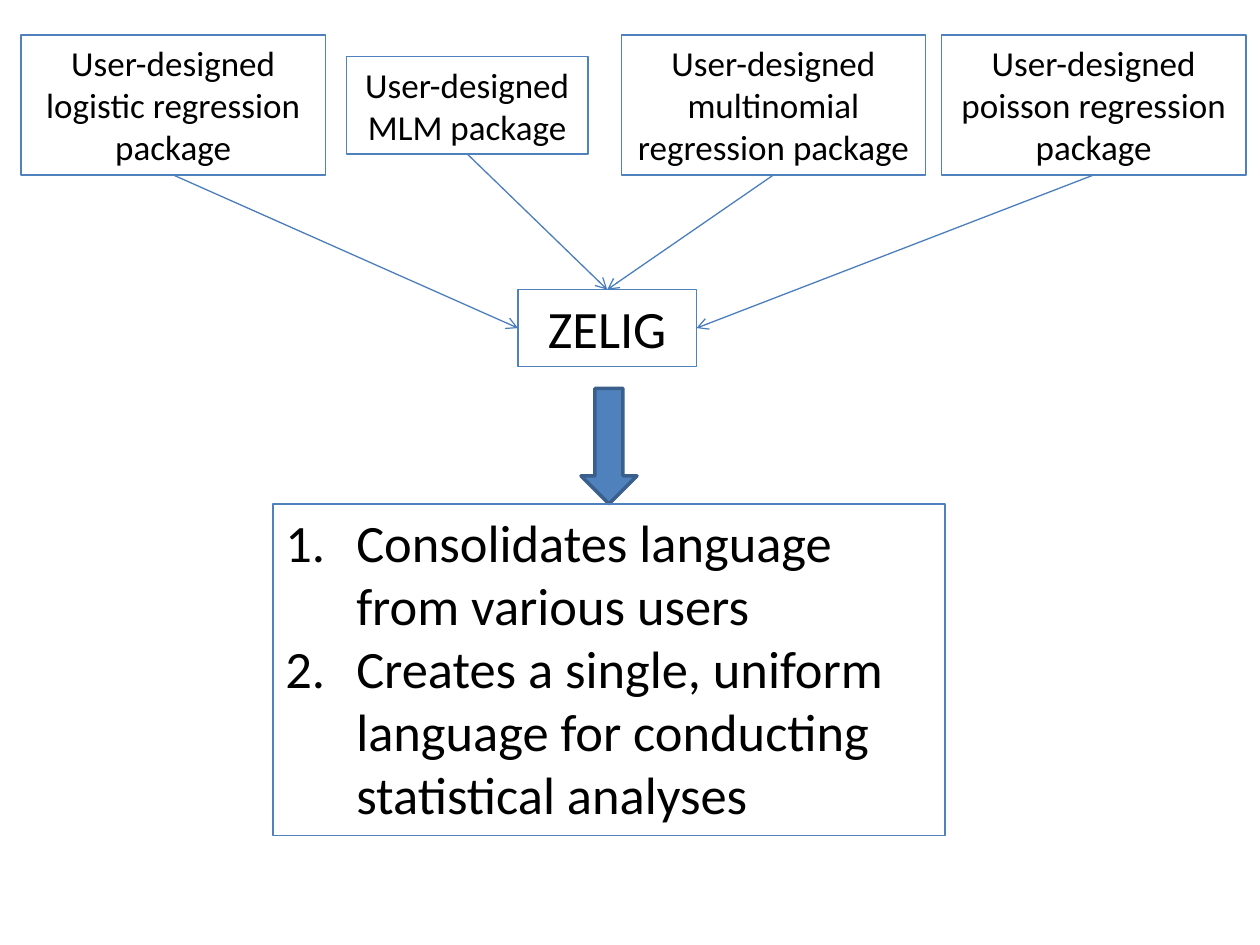
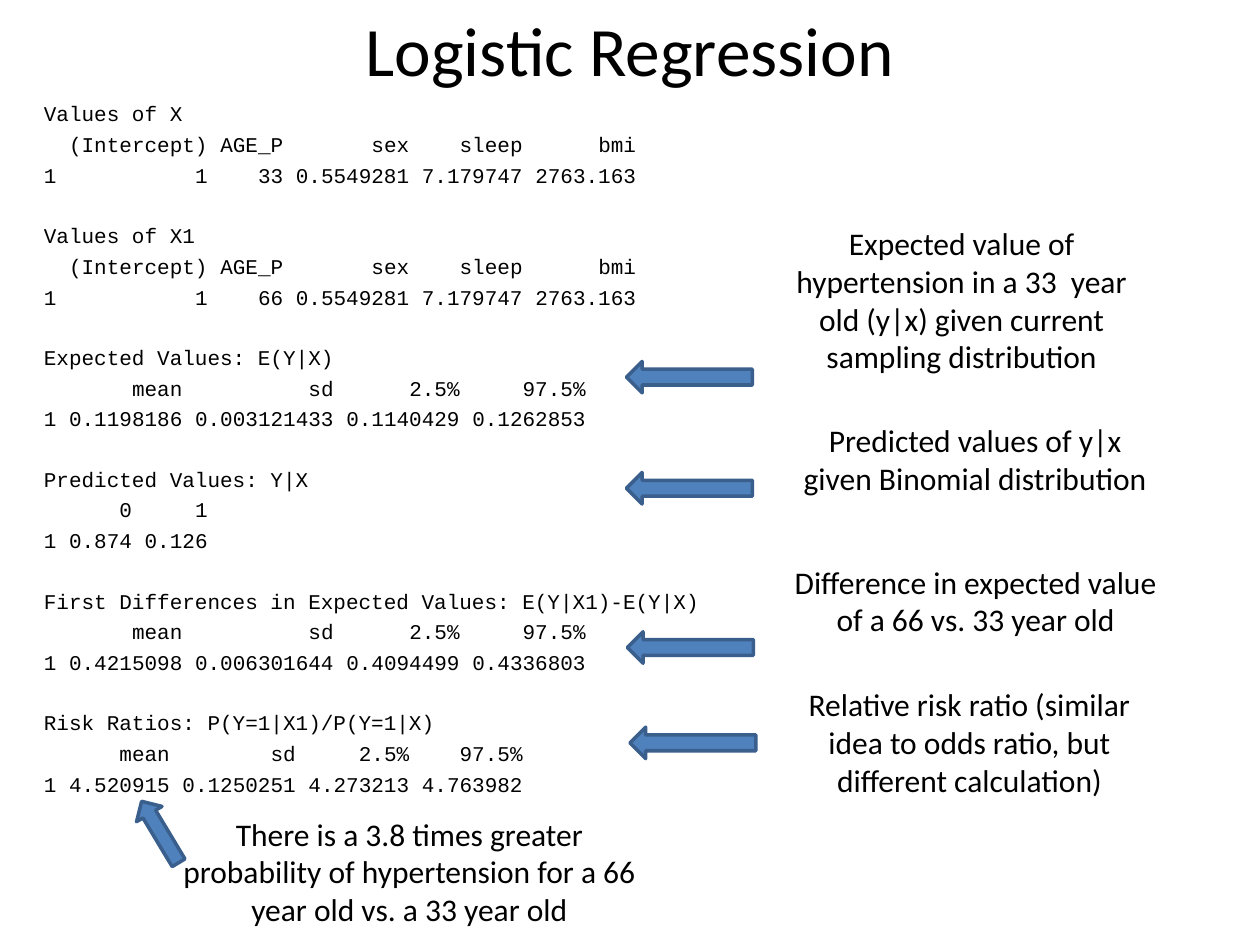
from dataclasses import dataclass
from typing import Any, NamedTuple

from lxml import etree
from pptx import Presentation
from pptx import util as u
from pptx.dml import color as dml
from pptx.enum import shapes, text
from pptx.oxml import ns

Pt = u.Pt


@dataclass(frozen=True)
class Theme:
    ink: str = "000000"
    blue: str = "4F81BD"
    connector: str = "4B7EBC"
    outline: str = "3A5F8C"
    sans: str = "Calibri"
    mono: str = "Courier New"
    title: float = 39.6
    large: float = 30
    label: float = 20
    note: float = 18
    output: float = 12
    thin: float = 0.75
    thick: float = 2


THEME = Theme()
MONO_ADVANCE = THEME.output * 0.6
LINE_GAP = 3.2
BLOCK_GAP = 20
TOP, LEFT, BOTTOM, RIGHT = range(4)


class Frame(NamedTuple):
    left: float
    top: float
    width: float
    height: float


class Label(NamedTuple):
    frame: Frame
    words: str


class Source(NamedTuple):
    label: Label
    target_site: int


class Arrow(NamedTuple):
    frame: Frame
    kind: Any = shapes.MSO_SHAPE.LEFT_ARROW
    rotation: float = 0


class Output(NamedTuple):
    heading: str
    columns: tuple[int, ...]
    rows: tuple[tuple[str, ...], ...]


INPUT_COLUMNS = (13, 19, 29, 38, 47)
INPUT_NAMES = ("", "(Intercept)", "AGE_P", "sex", "sleep", "bmi")
ESTIMATE_COLUMNS = (11, 23, 33, 43)
ESTIMATE_NAMES = ("", "mean", "sd", "2.5%", "97.5%")

SOURCES = (
    Source(Label(Frame(12, 20, 174, 80), "User-designed logistic regression package"), LEFT),
    Source(Label(Frame(198, 32.5, 138, 55.5), "User-designed MLM package"), TOP),
    Source(Label(Frame(355, 20, 174, 80), "User-designed multinomial regression package"), TOP),
    Source(Label(Frame(538, 20, 174, 80), "User-designed poisson regression package"), RIGHT),
)
HUB = Label(Frame(296, 165.5, 102, 44), "ZELIG")
RESULT_FRAME = Frame(156, 288, 384, 189.5)
RESULTS = (
    "Consolidates language from various users",
    "Creates a single, uniform language for conducting statistical analyses",
)
OUTPUTS = (
    Output("Values of X", INPUT_COLUMNS, (
        INPUT_NAMES, ("1", "1", "33", "0.5549281", "7.179747", "2763.163"))),
    Output("Values of X1", INPUT_COLUMNS, (
        INPUT_NAMES, ("1", "1", "66", "0.5549281", "7.179747", "2763.163"))),
    Output("Expected Values: E(Y|X)", ESTIMATE_COLUMNS, (
        ESTIMATE_NAMES, ("1", "0.1198186", "0.003121433", "0.1140429", "0.1262853"))),
    Output("Predicted Values: Y|X", (7, 13), (("", "0", "1"), ("1", "0.874", "0.126"))),
    Output("First Differences in Expected Values: E(Y|X1)-E(Y|X)", ESTIMATE_COLUMNS, (
        ESTIMATE_NAMES, ("1", "0.4215098", "0.006301644", "0.4094499", "0.4336803"))),
    Output("Risk Ratios: P(Y=1|X1)/P(Y=1|X)", (10, 20, 29, 38), (
        ESTIMATE_NAMES, ("1", "4.520915", "0.1250251", "4.273213", "4.763982"))),
)
NOTES = (
    Label(Frame(438, 124.5, 223, 94),
          "Expected value of hypertension in a 33  year old (y|x) given current sampling distribution"),
    Label(Frame(451.5, 237, 211.5, 51), "Predicted values of y|x given Binomial distribution"),
    Label(Frame(443, 318, 229, 51), "Difference in expected value of a 66 vs. 33 year old"),
    Label(Frame(443, 388, 222, 73),
          "Relative risk ratio (similar idea to odds ratio, but different calculation)"),
    Label(Frame(90, 462, 288, 73),
          "There is a 3.8 times greater probability of hypertension for a 66 year old vs. a 33 year old"),
)
ARROWS = (
    Arrow(Frame(358, 206.5, 72, 18)),
    Arrow(Frame(358, 270, 72, 18)),
    Arrow(Frame(358.5, 361, 72, 18)),
    Arrow(Frame(360, 415.5, 72, 18)),
    Arrow(Frame(71, 467, 41, 17), rotation=59),
)


def assign(target: Any, values: dict[str, Any]) -> None:
    for name, value in values.items():
        setattr(target, name, value)


def points(frame: Frame) -> list[int]:
    return [Pt(length) for length in frame]


def rgb(value: str) -> dml.RGBColor:
    return dml.RGBColor.from_string(value)


def draw_line(line: Any, color: str, width: float) -> None:
    line.color.rgb = rgb(color)
    line.width = Pt(width)


def add_para(box: Any, words: str, size: float, font: str = THEME.sans,
             **layout: Any) -> Any:
    body = box.text_frame
    para = body.paragraphs[0] if not body.text else body.add_paragraph()
    assign(para, layout)
    span = para.add_run()
    span.text = words
    assign(span.font, {"name": font, "size": Pt(size)})
    span.font.color.rgb = rgb(THEME.ink)
    return para


def add_text(page: Any, frame: Frame, **layout: Any) -> Any:
    box = page.shapes.add_textbox(*points(frame))
    assign(box.text_frame, {"word_wrap": True, **layout})
    return box


def add_box(page: Any, frame: Frame) -> Any:
    box = page.shapes.add_shape(shapes.MSO_SHAPE.RECTANGLE, *points(frame))
    box.shadow.inherit = False
    box.fill.background()
    draw_line(box.line, THEME.blue, THEME.thin)
    assign(box.text_frame, {"word_wrap": True, "vertical_anchor": text.MSO_ANCHOR.TOP})
    return box


def add_label_box(page: Any, label: Label, size: float) -> Any:
    box = add_box(page, label.frame)
    add_para(box, label.words, size, alignment=text.PP_ALIGN.CENTER)
    return box


def add_arrow(page: Any, arrow: Arrow) -> None:
    shape = page.shapes.add_shape(arrow.kind, *points(arrow.frame))
    shape.shadow.inherit = False
    shape.rotation = arrow.rotation
    shape.fill.solid()
    shape.fill.fore_color.rgb = rgb(THEME.blue)
    draw_line(shape.line, THEME.outline, THEME.thick)


def add_link(page: Any, source: Any, target: Any, site: int) -> None:
    link = page.shapes.add_connector(shapes.MSO_CONNECTOR.STRAIGHT, 0, 0, 0, 0)
    link.begin_connect(source, BOTTOM)
    link.end_connect(target, site)
    draw_line(link.line, THEME.connector, THEME.thin)
    etree.SubElement(link.line._get_or_add_ln(), ns.qn("a:tailEnd"), type="arrow")
    etree.SubElement(link._element.spPr, ns.qn("a:effectLst"))


def number_para(para: Any) -> None:
    properties = para._p.get_or_add_pPr()
    properties.set("marL", str(Pt(40.5)))
    properties.set("indent", str(-Pt(40.5)))
    etree.SubElement(properties, ns.qn("a:buFont"), typeface="+mj-lt")
    etree.SubElement(properties, ns.qn("a:buAutoNum"), type="arabicPeriod")


def align_columns(para: Any, columns: tuple[int, ...]) -> None:
    stops = etree.SubElement(para._p.get_or_add_pPr(), ns.qn("a:tabLst"))
    for column in columns:
        etree.SubElement(stops, ns.qn("a:tab"), pos=str(Pt(column * MONO_ADVANCE)), algn="r")


def add_output(box: Any, output: Output, gap: float) -> None:
    add_para(box, output.heading, THEME.output, THEME.mono, space_before=Pt(gap))
    for row in output.rows:
        para = add_para(box, "\t".join(row), THEME.output, THEME.mono,
                        space_before=Pt(LINE_GAP))
        align_columns(para, output.columns)


def build_package_page(page: Any) -> None:
    hub = add_label_box(page, HUB, THEME.large)
    for source in SOURCES:
        box = add_label_box(page, source.label, THEME.label)
        add_link(page, box, hub, source.target_site)
    add_arrow(page, Arrow(Frame(332, 222, 32, 66), shapes.MSO_SHAPE.DOWN_ARROW))
    box = add_box(page, RESULT_FRAME)
    for result in RESULTS:
        number_para(add_para(box, result, THEME.large, alignment=text.PP_ALIGN.LEFT))


def build_regression_page(page: Any) -> None:
    title = add_text(page, Frame(36, 0, 648, 56), vertical_anchor=text.MSO_ANCHOR.MIDDLE)
    add_para(title, "Logistic Regression", THEME.title, alignment=text.PP_ALIGN.CENTER)
    listing = add_text(page, Frame(18, 54, 648, 356.5))
    for index, output in enumerate(OUTPUTS):
        add_output(listing, output, BLOCK_GAP if index else LINE_GAP)
    for arrow in ARROWS:
        add_arrow(page, arrow)
    for note in NOTES:
        box = add_text(page, note.frame)
        add_para(box, note.words, THEME.note, alignment=text.PP_ALIGN.CENTER)


def main() -> None:
    deck = Presentation()
    assign(deck, {"slide_width": Pt(720), "slide_height": Pt(540)})
    for build in (build_package_page, build_regression_page):
        build(deck.slides.add_slide(deck.slide_layouts[6]))
    deck.save("out.pptx")


if __name__ == "__main__":
    main()
